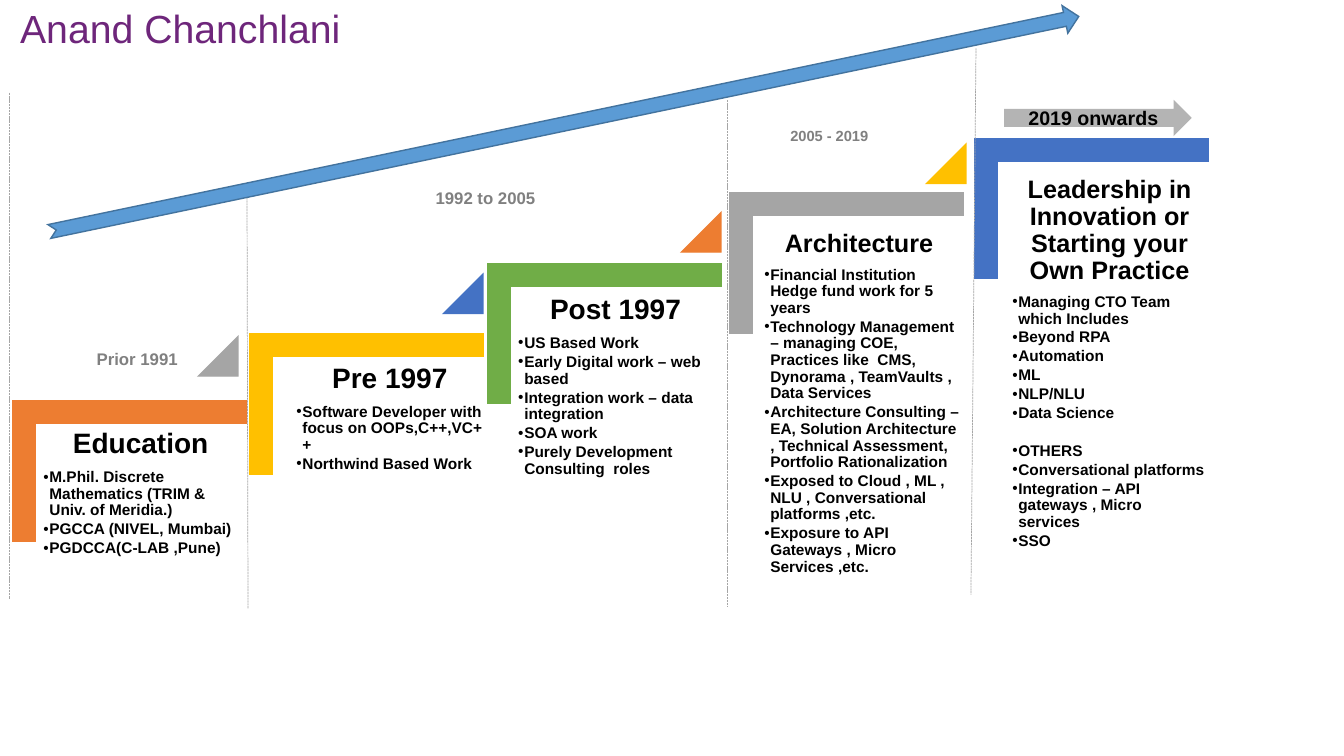
"""Build a career staircase slide with five stages along a rising arrow."""
from lxml import etree
from pptx import Presentation
from pptx import util as u
from pptx.dml.color import RGBColor
from pptx.enum import dml, shapes, text
from pptx.oxml.ns import qn

BLACK = RGBColor(0x00, 0x00, 0x00)
PURPLE = RGBColor(0x6E, 0x26, 0x7B)
ORANGE = RGBColor(0xED, 0x7D, 0x31)
GRAY = RGBColor(0xA5, 0xA5, 0xA5)
YELLOW = RGBColor(0xFF, 0xC0, 0x00)
BLUE = RGBColor(0x44, 0x72, 0xC4)
GREEN = RGBColor(0x70, 0xAD, 0x47)
SKY = RGBColor(0x5B, 0x9B, 0xD5)
SKY_EDGE = RGBColor(0x43, 0x73, 0x9E)
DIVIDER_GRAY = RGBColor(0xA6, 0xA6, 0xA6)
DATE_GRAY = RGBColor(0x80, 0x80, 0x80)
ARROW_GRAY = RGBColor(0xB4, 0xB4, 0xB4)

TITLE = "Anand Chanchlani"
STAGES = [
    dict(heading="Education", size=20, color=ORANGE, bracket=(0.59, 3.51),
         body=(0.35, 4.18), inset=0.08, marker=(1.97, 3.34, GRAY),
         items=["M.Phil. Discrete Mathematics (TRIM & Univ. of Meridia.)",
                "PGCCA (NIVEL, Mumbai)", "PGDCCA(C-LAB ,Pune)"]),
    dict(heading="Pre 1997 ", size=20, color=YELLOW, bracket=(2.94, 2.85),
         body=(2.86, 3.53), inset=0.08, marker=(4.4, 2.72, BLUE),
         items=["Software Developer with focus on OOPs,C++,VC++",
                "Northwind Based Work"]),
    dict(heading="Post 1997", size=20, color=GREEN, bracket=(5.3, 2.15),
         body=(5.06, 2.85), inset=0.08, marker=(6.76, 2.11, ORANGE),
         items=["US Based Work", "Early Digital work – web based",
                "Integration work – data integration", "SOA work",
                "Purely Development Consulting  roles"]),
    dict(heading="Architecture ", size=18, color=GRAY, bracket=(7.7, 1.45),
         body=(7.51, 2.22), inset=0.07, marker=(9.19, 1.43, YELLOW),
         items=["Financial Institution Hedge fund work for 5 years",
                "Technology Management – managing COE, Practices like  CMS, "
                "Dynorama , TeamVaults , Data Services",
                "Architecture Consulting – EA, Solution Architecture , "
                "Technical Assessment, Portfolio Rationalization",
                "Exposed to Cloud , ML , NLU , Conversational platforms ,etc.",
                "Exposure to API Gateways , Micro Services ,etc."]),
    dict(heading="Leadership in Innovation or Starting your Own Practice",
         size=18, color=BLUE, bracket=(10.13, 0.91),
         body=(9.96, 1.67), inset=0.08, marker=None,
         items=["Managing CTO Team which Includes", "Beyond RPA", "Automation",
                "ML", "NLP/NLU", "Data Science", "OTHERS",
                "Conversational platforms",
                "Integration – API gateways , Micro services", "SSO"]),
]
SECTION_STARTS = {"OTHERS"}
DIVIDERS = [(9.68, 0.48, 9.63, 5.9), (7.21, 0.99, 7.21, 6.01),
            (2.45, 1.96, 2.46, 6.04), (0.09, 0.92, 0.09, 5.94)]
DATES = [("Prior 1991", (0.86, 3.41, 1.08, 0.3), 12, text.PP_ALIGN.LEFT),
         ("1992 to 2005", (3.09, 1.81, 3.45, 0.3), 12, text.PP_ALIGN.CENTER),
         ("2005 - 2019", (7.67, 1.21, 1.11, 0.28), 10.5, text.PP_ALIGN.CENTER)]

BRACKET_SIZE = (1.39, 2.32)
BODY_SIZE = (2.09, 1.83)
MARKER_SIZE = (0.39, 0.39)
ITEM_SIZE = 11
HANG = 0.06


def inches(values):
    return [u.Inches(value) for value in values]


def apply(target, values):
    for name, value in values.items():
        setattr(target, name, value)


def write(paragraph, words, size, color=BLACK, bold=True, **layout):
    run = paragraph.add_run()
    run.text = words
    apply(run.font, dict(name="Arial", size=u.Pt(size), bold=bold))
    run.font.color.rgb = color
    apply(paragraph, layout)


def add_shape(kind, box, fill, edge=None, rotation=0, adjustments=()):
    shape = slide.shapes.add_shape(kind, *inches(box))
    shape.shadow.inherit = False
    shape.rotation = rotation
    shape.fill.solid()
    shape.fill.fore_color.rgb = fill
    if edge is None:
        shape.line.fill.background()
    else:
        shape.line.color.rgb = edge
        shape.line.width = u.Pt(1)
        outline = shape._element.spPr.find(qn("a:ln"))
        etree.SubElement(outline, qn("a:miter")).set("lim", "800000")
    for index, value in enumerate(adjustments):
        shape.adjustments[index] = value
    return shape


def add_text_frame(box, inset=None):
    frame = slide.shapes.add_textbox(*inches(box)).text_frame
    frame.word_wrap = True
    if inset is not None:
        sides = ("left", "top", "right", "bottom")
        apply(frame, {f"margin_{side}": u.Inches(inset) for side in sides})
    return frame


def add_bullet(paragraph):
    properties = paragraph._p.get_or_add_pPr()
    properties.set("marL", str(u.Inches(HANG)))
    properties.set("indent", str(-u.Inches(HANG)))
    etree.SubElement(properties, qn("a:buFont")).set("typeface", "Arial")
    etree.SubElement(properties, qn("a:buChar")).set("char", "•")


def add_stage(stage):
    color = stage["color"]
    add_shape(shapes.MSO_SHAPE.CORNER, stage["bracket"] + BRACKET_SIZE, color,
              color, rotation=90, adjustments=(0.16, 0.16))
    frame = add_text_frame(stage["body"] + BODY_SIZE, stage["inset"])
    write(frame.paragraphs[0], stage["heading"], stage["size"],
          alignment=text.PP_ALIGN.CENTER, line_spacing=0.9,
          space_after=u.Pt(0.35 * stage["size"]))
    for item in stage["items"]:
        paragraph = frame.add_paragraph()
        gap = 13.5 if item in SECTION_STARTS else 0
        write(paragraph, item, ITEM_SIZE, line_spacing=0.9,
              space_before=u.Pt(gap), space_after=u.Pt(0.15 * ITEM_SIZE))
        add_bullet(paragraph)
    if stage["marker"]:
        left, top, fill = stage["marker"]
        add_shape(shapes.MSO_SHAPE.ISOSCELES_TRIANGLE,
                  (left, top) + MARKER_SIZE, fill, fill, adjustments=(1,))


def add_divider(ends):
    line = slide.shapes.add_connector(shapes.MSO_CONNECTOR.STRAIGHT, *inches(ends))
    line.line.color.rgb = DIVIDER_GRAY
    apply(line.line, dict(width=u.Pt(0.5), dash_style=dml.MSO_LINE.SQUARE_DOT))
    etree.SubElement(line._element.spPr, qn("a:effectLst"))


presentation = Presentation()
apply(presentation, dict(slide_width=u.Inches(13.33), slide_height=u.Inches(7.5)))
slide = presentation.slides.add_slide(presentation.slide_layouts[5])

title = slide.shapes.title
apply(title, dict(zip(("left", "top", "width", "height"),
                      inches((0.1, -0.01, 12.04, 0.7)))))
apply(title.text_frame, dict(vertical_anchor=text.MSO_ANCHOR.TOP, word_wrap=True,
                             auto_size=text.MSO_AUTO_SIZE.NONE))
write(title.text_frame.paragraphs[0], TITLE, 28, PURPLE, bold=False,
      alignment=text.PP_ALIGN.LEFT)

for stage in STAGES:
    add_stage(stage)
for ends in DIVIDERS:
    add_divider(ends)
for words, box, size, alignment in DATES:
    write(add_text_frame(box).paragraphs[0], words, size, DATE_GRAY,
          alignment=alignment)

onwards = add_shape(shapes.MSO_SHAPE.RIGHT_ARROW, (9.96, 0.99, 1.86, 0.36), ARROW_GRAY)
onwards.text_frame.vertical_anchor = text.MSO_ANCHOR.MIDDLE
write(onwards.text_frame.paragraphs[0], "2019 onwards", 14,
      alignment=text.PP_ALIGN.CENTER)
add_shape(shapes.MSO_SHAPE.NOTCHED_RIGHT_ARROW, (0.38, 1.09, 10.43, 0.28), SKY,
          SKY_EDGE, rotation=348.2)

presentation.save("out.pptx")
